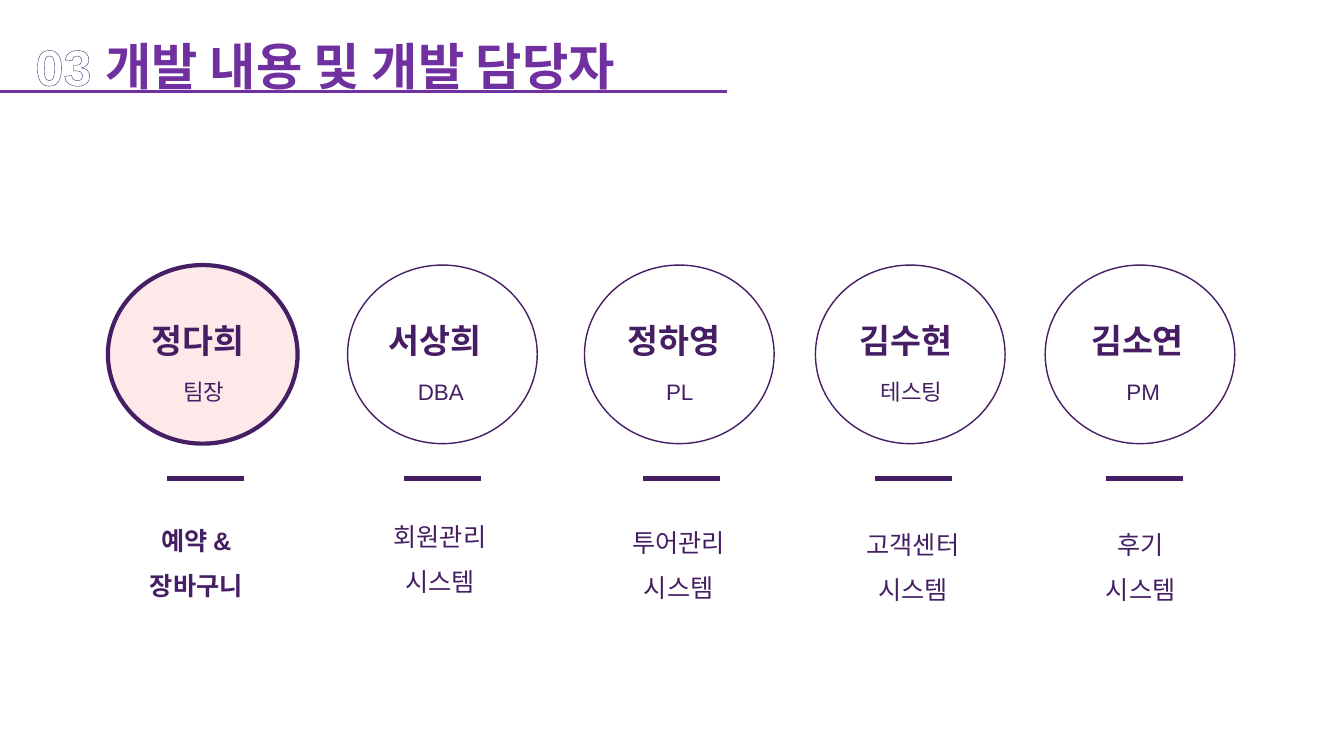
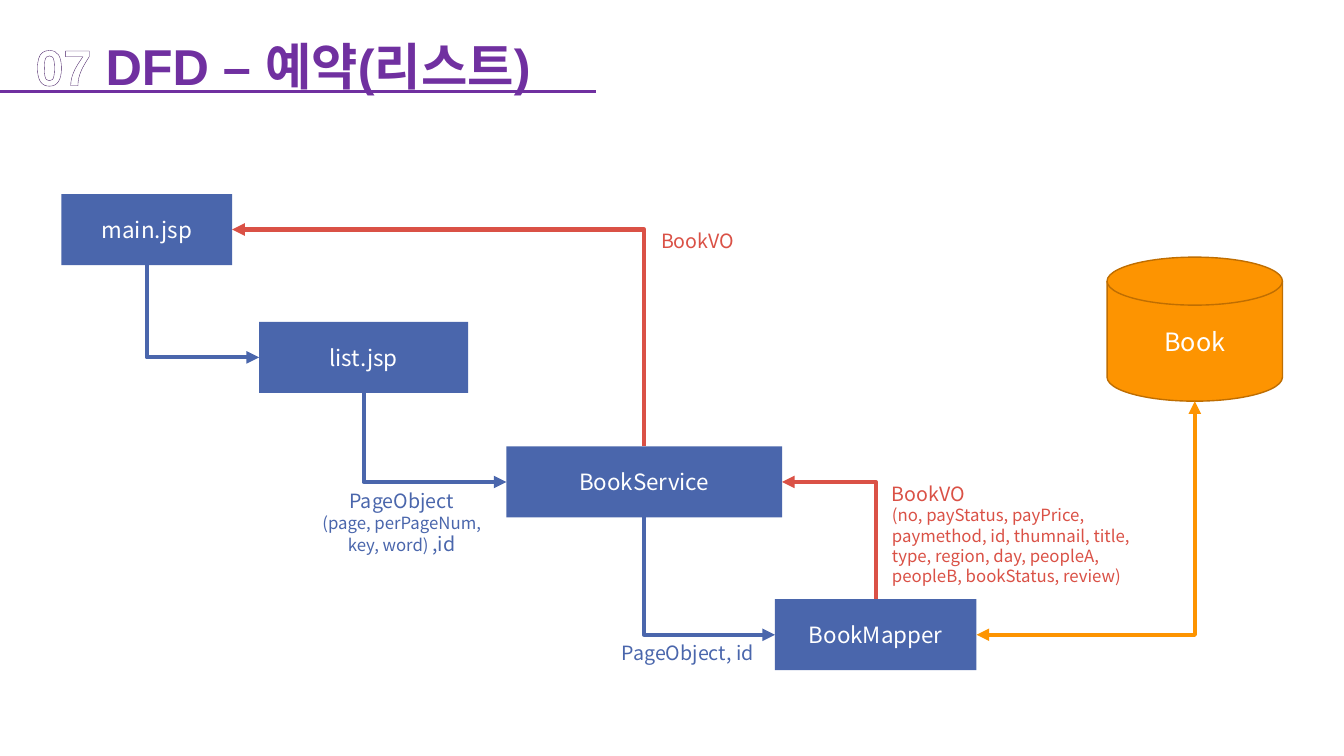
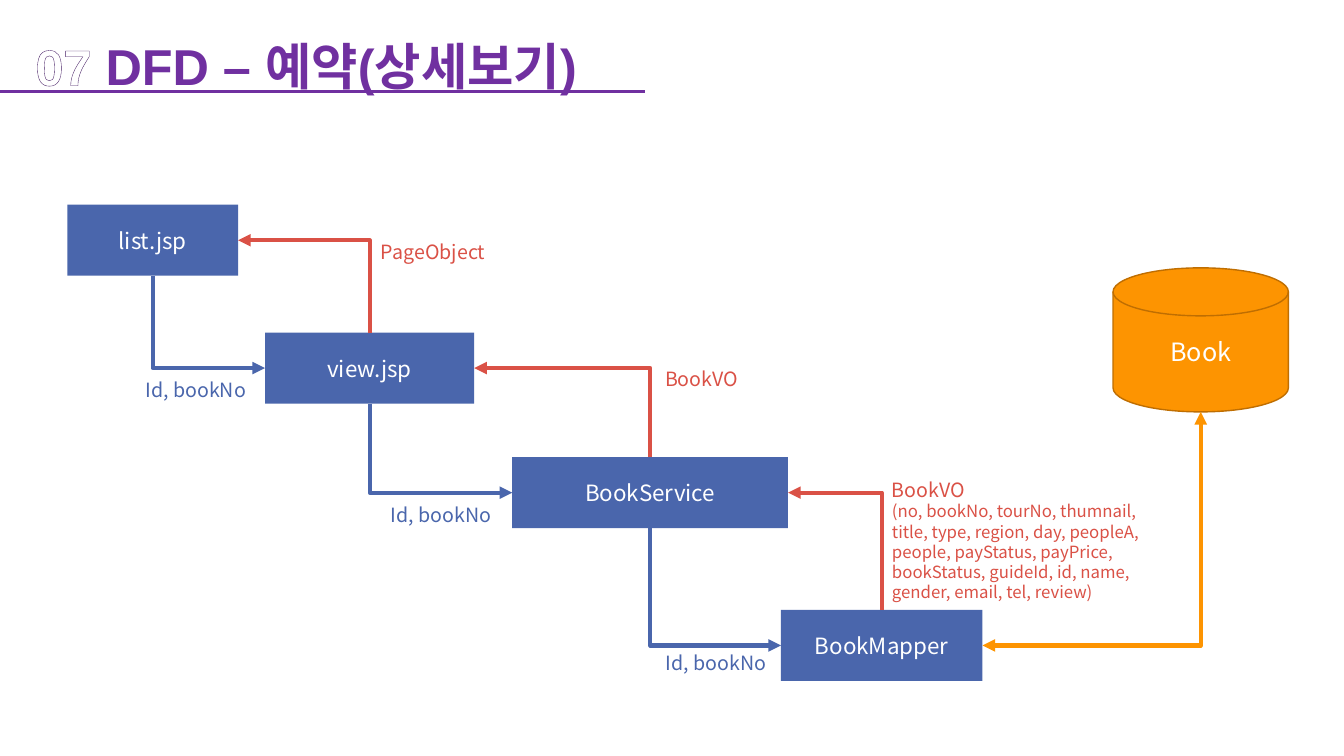
from collections import namedtuple
from dataclasses import dataclass

from lxml.etree import SubElement as Sub
from pptx import Presentation
from pptx.dml.color import RGBColor as Rgb
from pptx.enum.shapes import MSO_CONNECTOR as Link, MSO_SHAPE as Kind
from pptx.enum.text import MSO_ANCHOR as Anchor, MSO_AUTO_SIZE as Fit, PP_ALIGN as Align
from pptx.oxml.ns import qn
from pptx.util import Cm, Pt


@dataclass(frozen=True)
class Theme:
    """Colours, fonts and type sizes of the deck."""
    white: str = "FFFFFF"
    title: str = "7030A0"
    plum: str = "461E64"
    blush: str = "FDE9E9"
    blue: str = "4A66AC"
    red: str = "DA5146"
    gold: str = "FD9401"
    rim: str = "BF6E01"
    sans: str = "Arial"
    noto: str = "Noto Sans CJK KR"
    head: int = 36
    name: int = 24
    task: int = 18
    role: int = 16
    note: int = 14
    small: int = 12


T = Theme()
Member = namedtuple("Member", "name role tasks left text task top")

TEAM = [
    Member("정다희", "팀장", ["예약 &", "장바구니"], 2.72, 3.58, 2.95, 12.73),
    Member("서상희", "DBA", ["회원관리", "시스템"], 8.76, 9.55, 9.09, 12.62),
    Member("정하영", "PL", ["투어관리", "시스템"], 14.73, 15.57, 15.11, 12.78),
    Member("김수현", "테스팅", ["고객센터", "시스템"], 20.55, 21.41, 21.01, 12.83),
    Member("김소연", "PM", ["후기", "시스템"], 26.34, 27.25, 26.75, 12.83),
]
STEPS = [(1.55, 4.89, 4.3), (6.53, 8.11, 5.27), (12.76, 11.25, 6.95), (19.53, 15.1, 5.08)]
STEP_H = 1.79
DISK = (27.9, 6.48, 4.42, 3.63)
TOP, LEFT, BASE, RIGHT = range(4)
TURNS = {(True, True): (270, "flipH"), (False, False): (270, "flipV"), (False, True): (90, None)}


def write(para, text, size=T.note, color=T.plum, bold=False, font=T.sans, ring=None):
    """Add one formatted run to a paragraph."""
    run = para.add_run()
    run.text = text
    run.font.size, run.font.bold, run.font.name = Pt(size), bold, font
    run.font.color.rgb = Rgb.from_string(color)
    props = run.font._rPr
    Sub(props, qn("a:ea"), typeface=T.noto)
    if ring:
        edge = Sub(props, qn("a:ln"), w=str(Pt(0.75)))
        Sub(Sub(edge, qn("a:solidFill")), qn("a:srgbClr"), val=ring)
        props.insert(0, edge)


def label(slide, box, lines, align=Align.LEFT, space=None, **style):
    """Add a text box whose lines are strings or lists of text and size pairs."""
    frame = slide.shapes.add_textbox(*map(Cm, box)).text_frame
    frame.word_wrap, frame.auto_size = True, Fit.SHAPE_TO_FIT_TEXT
    for i, line in enumerate(lines):
        para = frame.add_paragraph() if i else frame.paragraphs[0]
        para.alignment, para.line_spacing = align, space
        if isinstance(line, str):
            write(para, line, **style)
        else:
            for text, size in line:
                write(para, text, **{**style, "size": size})


def shape(slide, kind, box, fill=None, line=None, width=1, text=None, size=T.role):
    """Add a flat preset shape with optional centred text."""
    item = slide.shapes.add_shape(kind, *map(Cm, box))
    item.shadow.inherit = False
    if fill:
        item.fill.solid()
        item.fill.fore_color.rgb = Rgb.from_string(fill)
    else:
        item.fill.background()
    if line:
        item.line.color.rgb, item.line.width = Rgb.from_string(line), Pt(width)
    else:
        item.line.fill.background()
    if text:
        item.text_frame.vertical_anchor = Anchor.MIDDLE
        para = item.text_frame.paragraphs[0]
        para.alignment = Align.CENTER
        write(para, text, size=size, color=T.white, font=T.noto)
    return item


def stroke(line, color, width, ends=()):
    """Colour a connector, add its arrowheads and drop its shadow."""
    line.line.color.rgb, line.line.width = Rgb.from_string(color), Pt(width)
    for end in ends:
        Sub(line.line._ln, qn("a:" + end), type="triangle")
    Sub(line._element.spPr, qn("a:effectLst"))


def rule(slide, left, top, length, color, width):
    """Draw a level line."""
    line = slide.shapes.add_connector(Link.STRAIGHT, Cm(left), Cm(top), Cm(left + length), Cm(top))
    stroke(line, color, width)


def port(item, side):
    """Return the middle point of one side of a shape."""
    across = {LEFT: 0, RIGHT: 2}.get(side, 1)
    down = {TOP: 0, BASE: 2}.get(side, 1)
    return item.left + item.width * across // 2, item.top + item.height * down // 2


def elbow(slide, start, out, goal, into, color, ends=("tailEnd",), site=None):
    """Join two shapes by an arrow that runs upright first, then level."""
    (x1, y1), (x2, y2) = port(start, out), port(goal, into)
    line = slide.shapes.add_connector(Link.ELBOW, x1, y1, x2, y2)
    line.begin_connect(start, out if site is None else site)
    line.end_connect(goal, into)
    props = line._element.spPr
    props.find(qn("a:prstGeom")).set("prst", "bentConnector2")
    frame = props.find(qn("a:xfrm"))
    for flip in ("flipH", "flipV"):
        frame.attrib.pop(flip, None)
    turn, flip = TURNS[x2 > x1, y2 > y1]
    frame.set("rot", str(turn * 60000))
    if flip:
        frame.set(flip, "1")
    wide, high = abs(y2 - y1), abs(x2 - x1)
    line.left, line.top = (x1 + x2 - wide) // 2, (y1 + y2 - high) // 2
    line.width, line.height = wide, high
    stroke(line, color, 3, ends)


def setup(deck):
    """Set the page size and the shared title place, and return the layout."""
    deck.slide_width, deck.slide_height = Cm(33.87), Cm(19.05)
    layout = deck.slide_layouts[5]
    head = layout.placeholders[0]
    head.left, head.top, head.width, head.height = map(Cm, (0.64, 0, 31.83, 2.57))
    head.text_frame.vertical_anchor = Anchor.TOP
    head.text_frame.auto_size = Fit.NONE
    return layout


def page(deck, layout, number, title, length):
    """Add a slide with its numbered title and underline."""
    slide = deck.slides.add_slide(layout)
    para = slide.shapes.title.text_frame.paragraphs[0]
    para.alignment, para.line_spacing = Align.LEFT, 1.5
    write(para, number, size=T.head, color=T.white, bold=True, ring=T.plum)
    write(para, title, size=T.head, color=T.title, bold=True)
    rule(slide, 0, 2.31, length, T.title, 2.25)
    return slide


def person(slide, who, lead):
    """Draw one member's circle, name, role, bar and tasks."""
    shape(slide, Kind.OVAL, (who.left, 6.68, 4.78, 4.5), fill=T.blush if lead else None,
          line=T.plum, width=3 if lead else 1)
    role = who.text + 0.25
    label(slide, (who.text, 7.42, 3.99, 1.6), [who.name], space=1.5, size=T.name, bold=True)
    label(slide, (role, 9.07, 2.62, 1.27), [who.role], Align.CENTER, 1.5, size=T.role)
    rule(slide, role + 0.38, 12.06, 1.94, T.plum, 3)
    label(slide, (who.task, who.top, 3.99, 2.41), who.tasks, Align.CENTER, 1.5,
          size=T.task, bold=lead)


def flow(slide, names, backs, dx=0, dy=0):
    """Draw the steps, the store and the arrows, with backs as return pairs."""
    steps = [shape(slide, Kind.RECTANGLE, (x + dx, y + dy, w, STEP_H), fill=T.blue, text=name)
             for name, (x, y, w) in zip(names, STEPS)]
    x, y, w, h = DISK
    disk = shape(slide, Kind.FLOWCHART_MAGNETIC_DISK, (x + dx, y + dy, w, h), fill=T.gold,
                 line=T.rim, text="Book", size=T.task)
    for one, two in zip(steps, steps[1:]):
        elbow(slide, one, BASE, two, LEFT, T.blue)
    for one, two in backs:
        elbow(slide, steps[one], TOP, steps[two], RIGHT, T.red)
    elbow(slide, disk, BASE, steps[-1], RIGHT, T.gold, ("headEnd", "tailEnd"), site=3)


def ask(slide, box, *lines):
    """Label a request in blue."""
    label(slide, box, lines, Align.CENTER, color=T.blue, font=T.noto)


def reply(slide, box, *lines):
    """Label a result in red."""
    label(slide, box, lines, color=T.red, font=T.noto)


def main():
    """Build and save the deck."""
    deck = Presentation()
    layout = setup(deck)

    team = page(deck, layout, "03 ", "개발 내용 및 개발 담당자", 18.31)
    for i, who in enumerate(TEAM):
        person(team, who, i == 0)

    index = page(deck, layout, "07", " DFD – 예약(리스트)", 15.01)
    flow(index, ["main.jsp", "list.jsp", "BookService", "BookMapper"], [(3, 2), (2, 0)])
    ask(index, (7.85, 12.19, 4.55, 1.96), "PageObject",
        [("(page, perPageNum, key, word) ", T.small), (",id", T.note)])
    ask(index, (15.34, 16.03, 3.99, 0.86), "PageObject, id")
    reply(index, (22.23, 12.01, 7.21, 2.9), "BookVO",
          [("(no, payStatus, payPrice, paymethod, id, thumnail, title, type, region, day, "
            "peopleA, peopleB, bookStatus, review)", T.small)])
    reply(index, (16.41, 5.64, 7.21, 0.86), "BookVO")

    view = page(deck, layout, "07", " DFD – 예약(상세보기)", 16.26)
    flow(view, ["list.jsp", "view.jsp", "BookService", "BookMapper"],
         [(3, 2), (2, 1), (1, 0)], 0.15, 0.27)
    for x, y in [(3.4, 9.4), (9.58, 12.55), (16.51, 16.28)]:
        ask(view, (x, y, 3.07, 0.86), "Id, bookNo")
    reply(view, (22.23, 11.91, 7.21, 3.43), "BookVO",
          [("(no, bookNo, tourNo, thumnail, title, type, region, day, peopleA, people, "
            "payStatus, payPrice, bookStatus, guideId, id, name, gender, email, tel, review)",
            T.small)])
    reply(view, (16.51, 9.12, 7.21, 0.86), "BookVO")
    reply(view, (9.35, 5.92, 3.56, 0.86), "PageObject")

    deck.save("out.pptx")


if __name__ == "__main__":
    main()
